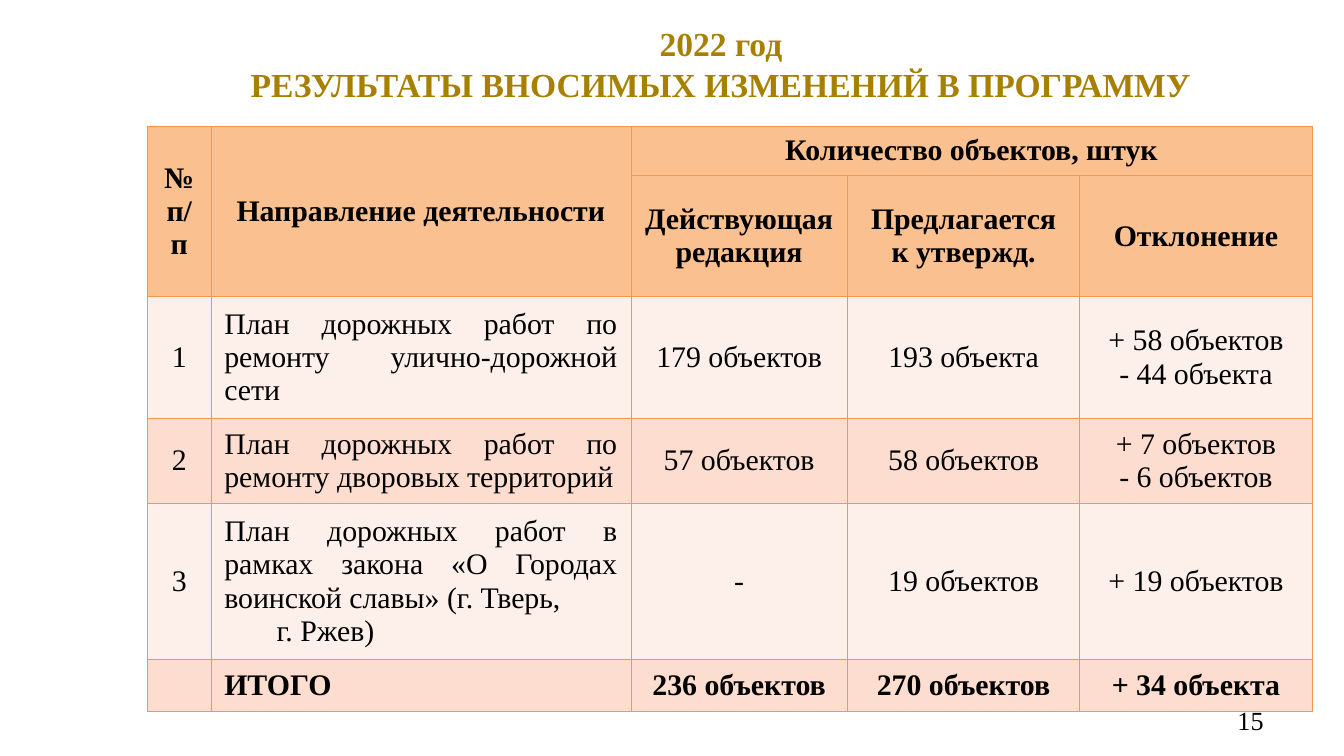
from dataclasses import dataclass

from lxml import etree
from pptx import Presentation
from pptx.dml.color import RGBColor
from pptx.enum.text import MSO_ANCHOR as Anchor, MSO_AUTO_SIZE as AutoSize, PP_ALIGN as Align
from pptx.oxml.ns import qn
from pptx.util import Pt


@dataclass(frozen=True)
class Theme:
    font: str = "Times New Roman"
    ink: str = "000000"
    gold: str = "A88000"
    border: str = "F79646"
    header: str = "FAC090"
    bands: tuple = ("FDEFE9", "FCDDCF")
    title_size: float = 18
    table_size: float = 16
    number_size: float = 14
    border_width: float = 0.45


THEME = Theme()
COLUMN_WIDTHS = (34, 225, 116, 124.5, 124.5)
ROW_HEIGHTS = (26.5, 65, 65, 45.5, 84, 27.5)
HEADER_ROWS = 2
PLACE_INDENT = 28

# Each cell is one string; a line break starts a new paragraph
ROWS = (
    ("№ п/п", "Направление деятельности", "Количество объектов, штук", "", ""),
    ("", "", "Действующая редакция", "Предлагается к утвержд.", "Отклонение"),
    ("1", "План дорожных работ по ремонту улично-дорожной сети",
     "179 объектов", "193 объекта", "+ 58 объектов\n- 44 объекта"),
    ("2", "План дорожных работ по ремонту дворовых территорий",
     "57 объектов", "58 объектов", "+ 7 объектов\n- 6 объектов"),
    ("3", "План дорожных работ в рамках закона «О Городах воинской славы» (г. Тверь,\nг. Ржев)",
     "-", "19 объектов", "+ 19 объектов"),
    ("", "ИТОГО", "236 объектов", "270 объектов", "+ 34 объекта"),
)


def write(frame, text, *, size, color=THEME.ink, bold=False, align=Align.CENTER, later_indent=0):
    """Fill a text frame, indenting the first line of paragraphs after the first."""
    frame.word_wrap = True
    frame.text = text
    for index, paragraph in enumerate(frame.paragraphs):
        paragraph.alignment = align
        if index and later_indent:
            paragraph._p.get_or_add_pPr().set("indent", str(Pt(later_indent)))
        font = paragraph.font
        font.name, font.size, font.bold = THEME.font, Pt(size), bold
        font.color.rgb = RGBColor.from_string(color)


def add_title(slide, text):
    title = slide.shapes.title
    title.left, title.top, title.width, title.height = Pt(78.5), Pt(11.5), Pt(615.5), Pt(45)
    frame = title.text_frame
    frame.auto_size = AutoSize.NONE
    frame.vertical_anchor = Anchor.MIDDLE
    write(frame, text, size=THEME.title_size, color=THEME.gold, bold=True)


def add_page_number(slide, text):
    frame = slide.shapes.add_textbox(Pt(516), Pt(375), Pt(168), Pt(22)).text_frame
    frame.vertical_anchor = Anchor.MIDDLE
    write(frame, text, size=THEME.number_size, align=Align.RIGHT)


def set_borders(cell):
    properties = cell._tc.get_or_add_tcPr()
    for index, side in enumerate(("lnL", "lnR", "lnT", "lnB")):
        line = etree.Element(qn(f"a:{side}"), w=str(Pt(THEME.border_width)))
        fill = etree.SubElement(line, qn("a:solidFill"))
        etree.SubElement(fill, qn("a:srgbClr"), val=THEME.border)
        properties.insert(index, line)


def format_cell(cell, text, row, column):
    is_header = row < HEADER_ROWS
    is_total = row == len(ROWS) - 1
    if is_header or column != 1:
        align = Align.CENTER
    else:
        align = Align.LEFT if is_total else Align.JUSTIFY
    cell.vertical_anchor = Anchor.MIDDLE
    cell.fill.solid()
    color = THEME.header if is_header else THEME.bands[(row - HEADER_ROWS) % 2]
    cell.fill.fore_color.rgb = RGBColor.from_string(color)
    set_borders(cell)
    write(cell.text_frame, text, size=THEME.table_size, bold=is_header or is_total,
          align=align, later_indent=PLACE_INDENT if column == 1 else 0)


def add_results_table(slide):
    results = slide.shapes.add_table(
        len(ROWS), len(COLUMN_WIDTHS), Pt(79), Pt(67.5),
        Pt(sum(COLUMN_WIDTHS)), Pt(sum(ROW_HEIGHTS))).table
    for column, width in zip(results.columns, COLUMN_WIDTHS):
        column.width = Pt(width)
    for row, height in zip(results.rows, ROW_HEIGHTS):
        row.height = Pt(height)
    for row, texts in enumerate(ROWS):
        for column, text in enumerate(texts):
            format_cell(results.cell(row, column), text, row, column)
    # Header spans
    for first, last in (((0, 0), (1, 0)), ((0, 1), (1, 1)), ((0, 2), (0, 4))):
        results.cell(*first).merge(results.cell(*last))


def main():
    deck = Presentation()
    deck.slide_width, deck.slide_height = Pt(720), Pt(405)
    slide = deck.slides.add_slide(deck.slide_layouts[5])

    # Heading, table and page number
    add_title(slide, "2022 год\nРЕЗУЛЬТАТЫ ВНОСИМЫХ ИЗМЕНЕНИЙ В ПРОГРАММУ")
    add_results_table(slide)
    add_page_number(slide, "15")

    deck.save("out.pptx")


if __name__ == "__main__":
    main()
